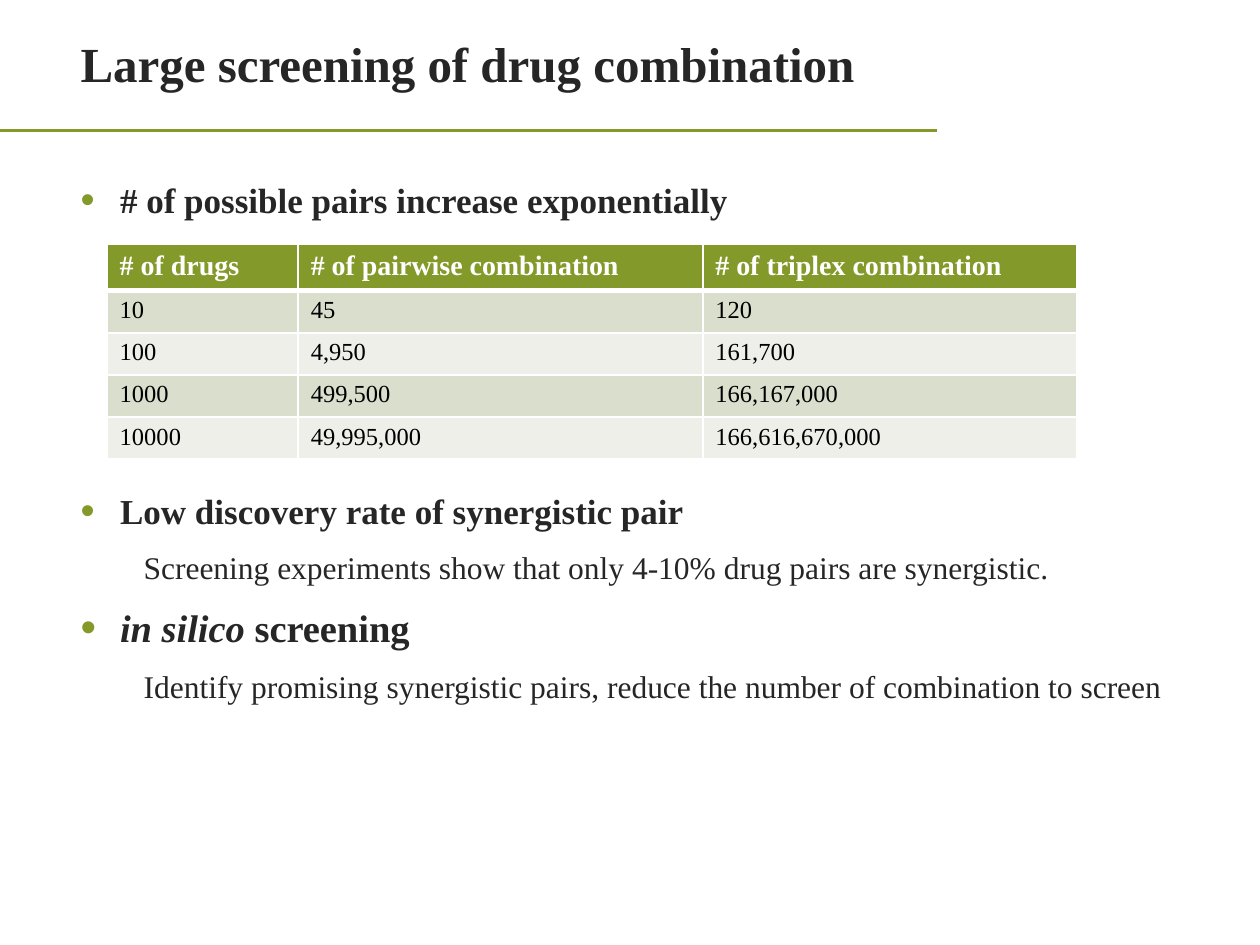
import lxml.etree
import pptx
import pptx.dml.color
import pptx.enum.shapes
import pptx.enum.text
import pptx.oxml.ns
import pptx.util

Pt = pptx.util.Pt
qn = pptx.oxml.ns.qn
COLORS = {"green": "83992A", "text": "262626", "white": "FFFFFF",
          "black": "000000", "odd": "D9DECD", "even": "EDEFE8"}


def rgb(name):
    return pptx.dml.color.RGBColor.from_string(COLORS[name])


def add_run(paragraph, text, color, **font_values):
    run = paragraph.add_run()
    run.text = text
    run.font.color.rgb = rgb(color)
    for name, value in {"name": "Times New Roman", **font_values}.items():
        setattr(run.font, name, value)


presentation = pptx.Presentation()
presentation.slide_width, presentation.slide_height = Pt(720), Pt(540)
slide = presentation.slides.add_slide(presentation.slide_layouts[6])

# Rule below the title
rule = slide.shapes.add_connector(
    pptx.enum.shapes.MSO_CONNECTOR.STRAIGHT, Pt(0), Pt(74.6), Pt(535.7), Pt(74.6))
rule.line.color.rgb = rgb("green")
rule.line.width = Pt(1.25)
lxml.etree.SubElement(rule._element.spPr, qn("a:effectLst"))

# Title
title = slide.shapes.add_textbox(Pt(39), Pt(6), Pt(496), Pt(60.5)).text_frame
title.word_wrap = True
title.vertical_anchor = pptx.enum.text.MSO_ANCHOR.MIDDLE
add_run(title.paragraphs[0], "Large screening of drug combination", "text",
        size=Pt(28), bold=True)

# Body: bulleted headings with indented details; the second heading clears the table
body = slide.shapes.add_textbox(Pt(39), Pt(98.6), Pt(646), Pt(402)).text_frame
body.word_wrap = True
BULLETED = {"marL": Pt(22.5), "indent": -Pt(22.5)}
DETAIL = {"marL": Pt(36), "indent": 0, "lvl": 1}
lines = [
    (BULLETED, 20, 4, [("# of possible pairs increase exponentially", False)]),
    (BULLETED, 20, 147.5, [("Low discovery rate of synergistic pair", False)]),
    (DETAIL, 18, 3.6,
     [("Screening experiments show that only 4-10% drug pairs are synergistic.", False)]),
    (BULLETED, 22, 4.4, [("in silico ", True), ("screening", False)]),
    (DETAIL, 18, 3.6,
     [("Identify promising synergistic pairs, reduce the number of combination to screen",
       False)]),
]
for index, (layout, size, space_before, runs) in enumerate(lines):
    paragraph = body.add_paragraph() if index else body.paragraphs[0]
    paragraph.space_before = Pt(space_before)
    paragraph.space_after = Pt(6)
    properties = paragraph._p.get_or_add_pPr()
    for name, value in layout.items():
        properties.set(name, str(int(value)))
    if layout is BULLETED:
        bullet_color = lxml.etree.SubElement(properties, qn("a:buClr"))
        lxml.etree.SubElement(bullet_color, qn("a:srgbClr"), val=COLORS["green"])
        lxml.etree.SubElement(properties, qn("a:buSzPct"), val="115000")
        lxml.etree.SubElement(properties, qn("a:buFont"), typeface="Arial")
        lxml.etree.SubElement(properties, qn("a:buChar"), char="•")
    for text, italic in runs:
        add_run(paragraph, text, "text", size=Pt(size),
                bold=layout is BULLETED, italic=italic)

# Table of combination counts
rows = [
    ("# of drugs", "# of pairwise combination", "# of triplex combination"),
    ("10", "45", "120"),
    ("100", "4,950", "161,700"),
    ("1000", "499,500", "166,167,000"),
    ("10000", "49,995,000", "166,616,670,000"),
]
column_widths = [109.2, 231.2, 213.6]
row_heights = [25.6] + [23.5] * 4
table = slide.shapes.add_table(
    len(rows), len(column_widths), Pt(61.2), Pt(139.7),
    Pt(sum(column_widths)), Pt(sum(row_heights))).table
for column, width in zip(table.columns, column_widths):
    column.width = Pt(width)
for row_index, values in enumerate(rows):
    table.rows[row_index].height = Pt(row_heights[row_index])
    header = row_index == 0
    fill = "green" if header else ("odd" if row_index % 2 else "even")
    borders = {"a:lnL": 1, "a:lnR": 1, "a:lnT": 3 if row_index == 1 else 1,
               "a:lnB": 3 if header else 1}
    for column_index, value in enumerate(values):
        cell = table.cell(row_index, column_index)
        cell_properties = cell._tc.get_or_add_tcPr()
        for side, width in borders.items():
            border = lxml.etree.SubElement(cell_properties, qn(side), w=str(int(Pt(width))))
            border_fill = lxml.etree.SubElement(border, qn("a:solidFill"))
            lxml.etree.SubElement(border_fill, qn("a:srgbClr"), val=COLORS["white"])
        cell.fill.solid()
        cell.fill.fore_color.rgb = rgb(fill)
        add_run(cell.text_frame.paragraphs[0], value, "white" if header else "black",
                size=Pt(16 if header else 14), bold=header)

presentation.save("out.pptx")
